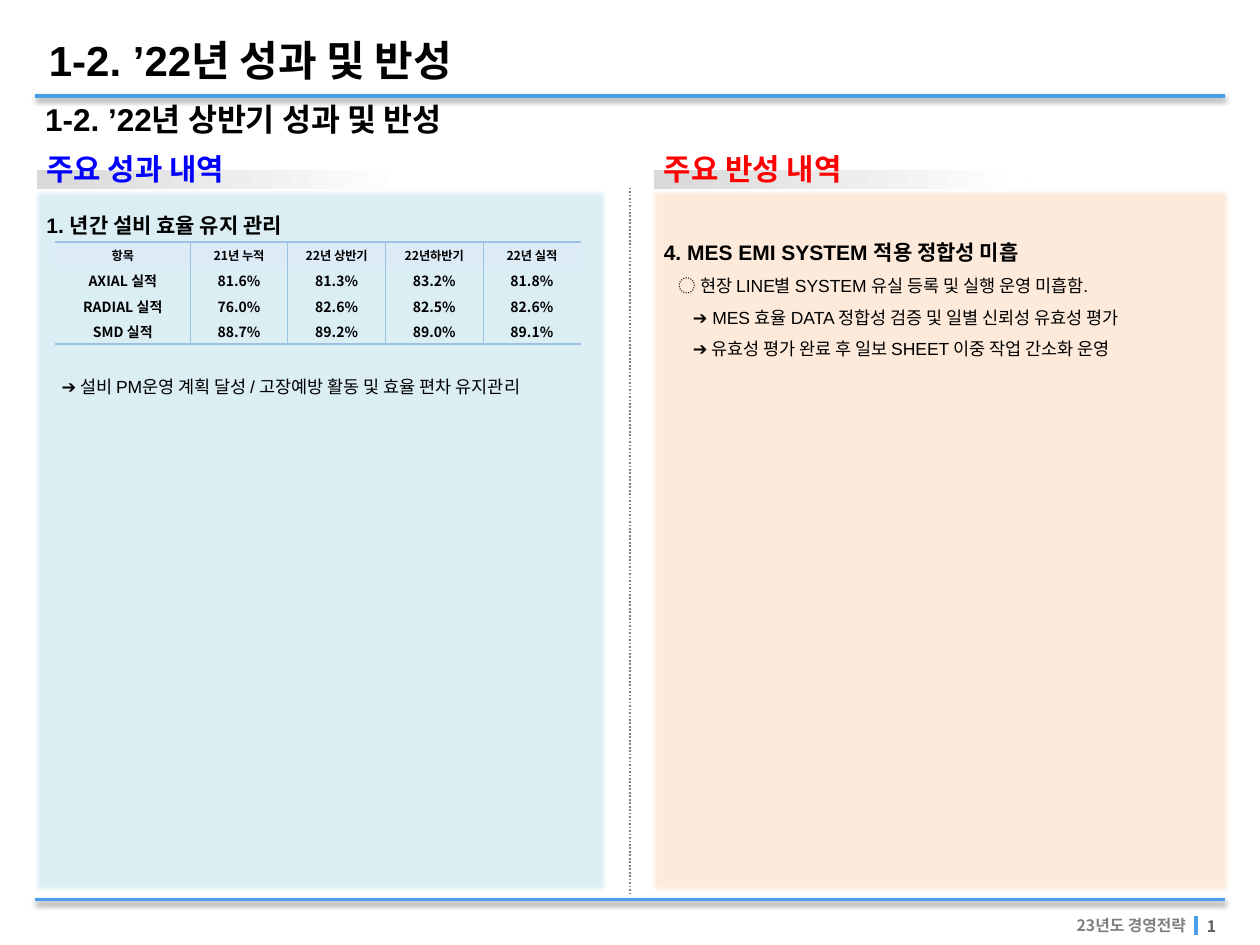
from lxml import etree
from pptx import Presentation
from pptx.dml.color import RGBColor
from pptx.enum.dml import MSO_LINE
from pptx.enum.shapes import MSO_CONNECTOR, MSO_SHAPE
from pptx.enum.text import MSO_ANCHOR, PP_ALIGN
from pptx.oxml.ns import qn
from pptx.util import Inches, Pt

RECT, LINE = MSO_SHAPE.RECTANGLE, MSO_CONNECTOR.STRAIGHT
DOT = MSO_LINE.ROUND_DOT
TOP, MID = MSO_ANCHOR.TOP, MSO_ANCHOR.MIDDLE
LEFT, MIDST, RIGHT = PP_ALIGN.LEFT, PP_ALIGN.CENTER, PP_ALIGN.RIGHT
WIDE, HIGH = Inches(10), Inches(7.5)
COL, ROW = WIDE / 100, HIGH / 75
LATIN, HANGUL = "Arial", "Noto Sans CJK KR"
HUES = {
    "ink": "000000", "rule": "499DE9", "page": "5F5F5F", "gray": "808080",
    "blue": "0000FF", "red": "FF0000", "fade": "D9D9D9", "white": "FFFFFF",
    "aqua": "DBEEF4", "peach": "FDEADA", "edge": "F2F2F2",
    "head": "DDEBF7", "grid": "9BC2E6",
}
RATES = [
    ["항목", "21년 누적", "22년 상반기", "22년하반기", "22년 실적"],
    ["AXIAL 실적", "81.6%", "81.3%", "83.2%", "81.8%"],
    ["RADIAL 실적", "76.0%", "82.6%", "82.5%", "82.6%"],
    ["SMD 실적", "88.7%", "89.2%", "89.0%", "89.1%"],
]
GAINS = [
    ("1. 년간 설비 효율 유지 관리", dict(size=12, bold=True)),
    ("➔ 설비 PM운영 계획 달성 / 고장예방 활동 및 효율 편차 유지관리",
     dict(indent=1.2, before=73)),
]
FLAWS = [
    ("4. MES EMI SYSTEM 적용 정합성 미흡", dict(size=12, bold=True)),
    ("◌ 현장 LINE별 SYSTEM 유실 등록 및 실행 운영 미흡함.", dict(indent=1.2)),
    ("➔ MES 효율 DATA 정합성 검증 및 일별 신뢰성 유효성 평가", dict(indent=2.3)),
    ("➔ 유효성 평가 완료 후 일보 SHEET 이중 작업 간소화 운영", dict(indent=2.3)),
]


def hue(name):
    """Return the named colour."""
    return RGBColor.from_string(HUES[name])


def place(box):
    """Turn a box in columns and rows into slide lengths."""
    x, y, w, h = box
    return round(x * COL), round(y * ROW), round(w * COL), round(h * ROW)


def node(root, tag, **attrs):
    """Add a drawing element under root."""
    return etree.SubElement(root, qn("a:" + tag), attrs)


def write(para, text, size=10, font=LATIN, color="ink", bold=False,
          align=LEFT, lead=1.0, indent=0, before=0):
    """Write formatted text into a paragraph."""
    para.alignment, para.line_spacing = align, lead
    para.space_before = Pt(before)
    if indent:
        para._p.get_or_add_pPr().set("marL", str(round(indent * COL)))
    run = para.add_run()
    run.text = text
    run.font.size, run.font.name, run.font.bold = Pt(size), font, bold
    run.font.color.rgb = hue(color)
    node(run._r.get_or_add_rPr(), "ea", typeface=HANGUL)


def label(slide, box, items, anchor=MID, wrap=True, pad=0.5):
    """Place a text box holding formatted paragraphs."""
    frame = slide.shapes.add_textbox(*place(box)).text_frame
    frame.word_wrap, frame.vertical_anchor = wrap, anchor
    frame.margin_left = frame.margin_right = round(COL)
    frame.margin_top = frame.margin_bottom = round(pad * ROW)
    for i, (text, style) in enumerate(items):
        para = frame.add_paragraph() if i else frame.paragraphs[0]
        write(para, text, **style)


def rule(slide, start, end, color="rule", width=2, dash=None, shade=False):
    """Draw a straight line between two grid points."""
    x, y, right, low = place((*start, *end))
    line = slide.shapes.add_connector(LINE, x, y, right, low)
    line.line.color.rgb, line.line.width = hue(color), Pt(width)
    if dash:
        line.line.dash_style = dash
    glow = node(line._element.spPr, "effectLst")
    if shade:
        cast = node(glow, "outerShdw", blurRad=str(Pt(3.1)), dist=str(Pt(1.6)),
                    dir="5400000", rotWithShape="0")
        node(node(cast, "srgbClr", val=HUES["ink"]), "alpha", val="38000")


def header(slide, box):
    """Place the title, its rule and the subtitle."""
    x, y, w, h = box
    style = dict(bold=True, lead=0.85)
    rule(slide, (x, y + h), (x + w, y + h), shade=True)
    for left, top, text, size in (
            (x + 0.1, y, "1-2. ’22년 성과 및 반성", 24),
            (x - 0.2, y + 4.6, "1-2. ’22년 상반기 성과 및 반성", 18)):
        label(slide, (left, top, 65.4, 4.5), [(text, dict(style, size=size))])


def footer(slide, box):
    """Place the bottom rule, the plan name and the page number."""
    x, y, w, h = box
    end = x + w
    style = dict(size=9, font=HANGUL, bold=True)
    rule(slide, (x, y), (end, y), shade=True)
    label(slide, (end - 15.1, y + 0.8, 13, 2.5),
          [("23년도 경영전략", dict(style, color="gray", align=RIGHT))], pad=0)
    rule(slide, (end - 2.3, y + 1.3), (end - 2.3, y + h), width=2.25)
    label(slide, (end - 2.4, y + 1.1, 4.4, 2),
          [("1", dict(style, color="page"))], pad=0)


def panel(slide, box, title, color, tint, items, drop):
    """Place a faded heading over a soft panel with its text."""
    x, y, w, h = box
    bar = slide.shapes.add_shape(RECT, *place((x + 0.2, y - 1.5, 29.5, 1.5)))
    bar.shadow.inherit = False
    bar.line.fill.background()
    bar.fill.gradient()
    bar.fill.gradient_angle = 0
    for stop, name in zip(bar.fill.gradient_stops, ("fade", "white")):
        stop.color.rgb = hue(name)
    label(slide, (x, y - 3.6, 18, 3.9),
          [(title, dict(size=17, font=HANGUL, color=color, bold=True))],
          wrap=False, pad=0)
    body = slide.shapes.add_shape(RECT, *place(box))
    body.shadow.inherit = False
    body.fill.solid()
    body.fill.fore_color.rgb = hue(tint)
    body.line.color.rgb, body.line.width = hue("edge"), Pt(2)
    node(body._element.spPr.find(qn("a:effectLst")), "softEdge", rad=str(Pt(2.5)))
    label(slide, (x, y + drop, 47.3, h - drop),
          [(text, dict(style, lead=1.5)) for text, style in items], anchor=TOP)


def edge(cell, side, width):
    """Set one border of a cell, with zero width for none."""
    line = node(cell._tc.get_or_add_tcPr(), "ln" + side, w=str(Pt(width)))
    if width:
        node(node(line, "solidFill"), "srgbClr", val=HUES["grid"])
    else:
        node(line, "noFill")


def rates(slide, box, data):
    """Place the table of yearly rates."""
    x, y, w, h = box
    rows, cols = len(data), len(data[0])
    table = slide.shapes.add_table(rows, cols, *place(box)).table
    table.first_row = table.horz_banding = False
    first = 10.7
    for c, col in enumerate(table.columns):
        col.width = round((first if c == 0 else (w - first) / (cols - 1)) * COL)
    for r, line in enumerate(data):
        table.rows[r].height = round(h / rows * ROW)
        for c, text in enumerate(line):
            cell = table.cell(r, c)
            cell.margin_left = cell.margin_right = cell.margin_top = round(COL / 10)
            cell.margin_bottom = 0
            cell.vertical_anchor = MID
            for side, width in (("L", 0.5 * (c > 0)), ("R", 0.5 * (c < cols - 1)),
                                ("T", 1.5 * (r == 0)), ("B", 1.5 * (r == rows - 1))):
                edge(cell, side, width)
            if r:
                cell.fill.background()
            else:
                cell.fill.solid()
                cell.fill.fore_color.rgb = hue("head")
            write(cell.text_frame.paragraphs[0], text, size=8 if r else 7,
                  font=HANGUL, bold=True, align=MIDST)


def main():
    """Build and save the slide."""
    deck = Presentation()
    deck.slide_width, deck.slide_height = WIDE, HIGH
    slide = deck.slides.add_slide(deck.slide_layouts[6])
    header(slide, (2.8, 2.8, 94.4, 4.8))
    footer(slide, (2.8, 71.4, 94.4, 2.8))
    rule(slide, (50, 14.9), (50, 70.9), color="gray", width=1, dash=DOT)
    panel(slide, (2.7, 15, 45.5, 55.9), "주요 성과 내역", "blue", "aqua", GAINS, 0.4)
    panel(slide, (51.7, 15, 46, 55.9), "주요 반성 내역", "red", "peach", FLAWS, 2.5)
    rates(slide, (4.4, 19.2, 41.7, 8.1), RATES)
    deck.save("out.pptx")


if __name__ == "__main__":
    main()
